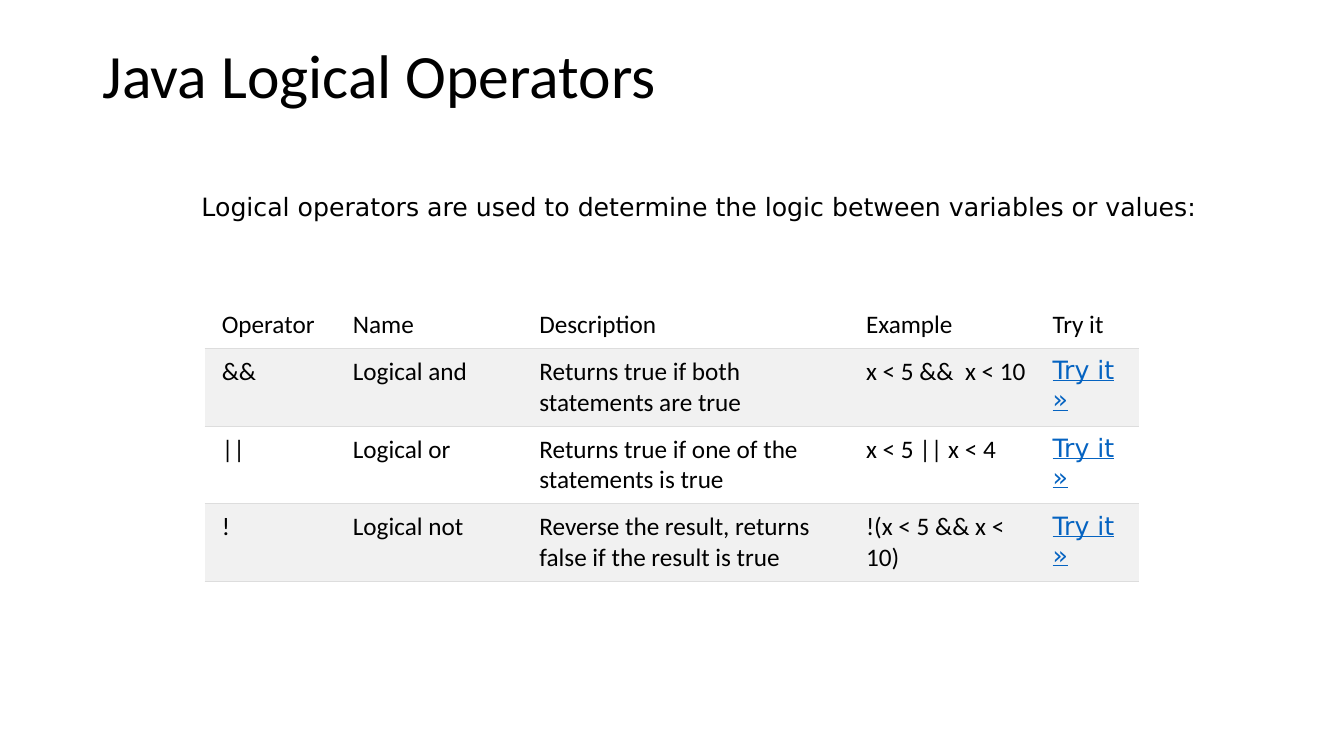
from pptx import Presentation
from pptx.dml.color import RGBColor
from pptx.enum.text import MSO_ANCHOR, PP_ALIGN
from pptx.oxml import parse_xml
from pptx.oxml.ns import nsdecls
from pptx.util import Inches, Pt

TITLE = "Java Logical Operators"
INTRO = "Logical operators are used to determine the logic between variables or values:"
TRY_LINK = "Try it »"
HEADER = ("Operator", "Name", "Description", "Example", "Try it")
OPERATORS = [
    ("&&", "Logical and", "Returns true if both statements are true", "x < 5 &&\u00a0 x < 10"),
    ("||", "Logical or", "Returns true if one of the statements is true", "x < 5 || x < 4"),
    ("!", "Logical not", "Reverse the result, returns false if the result is true", "!(x < 5 && x < 10)"),
]
COLORS = {"text": "000000", "link": "0563C1", "plain": "FFFFFF", "band": "F1F1F1", "rule": "DDDDDD"}
FORMATS = {
    "title": {"name": "Calibri", "size": Pt(44), "color": "text"},
    "intro": {"name": "DejaVu Sans", "size": Pt(18), "color": "text"},
    "cell": {"name": "Calibri", "size": Pt(18), "bold": False, "color": "text"},
    "link": {"name": "DejaVu Sans", "size": Pt(18), "bold": False, "underline": True, "color": "link"},
}
COLUMN_WIDTHS = (1.39, 1.85, 3.24, 1.85, 0.94)
HEADER_HEIGHT, ROW_HEIGHT = 0.46, 0.77
CELL_MARGIN, FIRST_MARGIN = 0.08, 0.17


def write(text_frame, text, style):
    paragraph = text_frame.paragraphs[0]
    paragraph.alignment = PP_ALIGN.LEFT
    run = paragraph.add_run()
    run.text = text
    for attribute, value in FORMATS[style].items():
        if attribute == "color":
            run.font.color.rgb = RGBColor.from_string(COLORS[value])
        else:
            setattr(run.font, attribute, value)
    return paragraph


def set_borders(cell, ruled_sides):
    properties = cell._tc.get_or_add_tcPr()
    for side in "LRTB":
        line = "<a:noFill/>"
        if side in ruled_sides:
            line = f'<a:solidFill><a:srgbClr val="{COLORS["rule"]}"/></a:solidFill>'
        properties.append(parse_xml(f'<a:ln{side} {nsdecls("a")} w="{Pt(0.75)}">{line}</a:ln{side}>'))


presentation = Presentation()
presentation.slide_width, presentation.slide_height = Inches(13.33), Inches(7.5)
slide = presentation.slides.add_slide(presentation.slide_layouts[5])

title = slide.shapes.title
title.left, title.top, title.width, title.height = map(Inches, (0.92, 0.4, 11.5, 1.45))
title.text_frame.vertical_anchor = MSO_ANCHOR.TOP
write(title.text_frame, TITLE, "title").line_spacing = 0.9

rows = [HEADER] + [operator + (TRY_LINK,) for operator in OPERATORS]
table_height = HEADER_HEIGHT + ROW_HEIGHT * len(OPERATORS)
table = slide.shapes.add_table(
    len(rows), len(HEADER), Inches(2.03), Inches(2.99), Inches(sum(COLUMN_WIDTHS)), Inches(table_height)
).table
table.first_row = table.horz_banding = False
for column, width in zip(table.columns, COLUMN_WIDTHS):
    column.width = Inches(width)

for row_index, row in enumerate(rows):
    table.rows[row_index].height = Inches(ROW_HEIGHT if row_index else HEADER_HEIGHT)
    for column_index, text in enumerate(row):
        cell = table.cell(row_index, column_index)
        for side in ("left", "right", "top", "bottom"):
            setattr(cell, f"margin_{side}", Inches(CELL_MARGIN))
        if column_index == 0:
            cell.margin_left = Inches(FIRST_MARGIN)
        set_borders(cell, "TB" if row_index else "B")
        cell.fill.solid()
        cell.fill.fore_color.rgb = RGBColor.from_string(COLORS["band" if row_index % 2 else "plain"])
        write(cell.text_frame, text, "link" if text == TRY_LINK else "cell")

intro = slide.shapes.add_textbox(Inches(1.9), Inches(1.85), Inches(11.18), Inches(0.4))
intro.text_frame.word_wrap = True
write(intro.text_frame, INTRO, "intro")

presentation.save("out.pptx")
